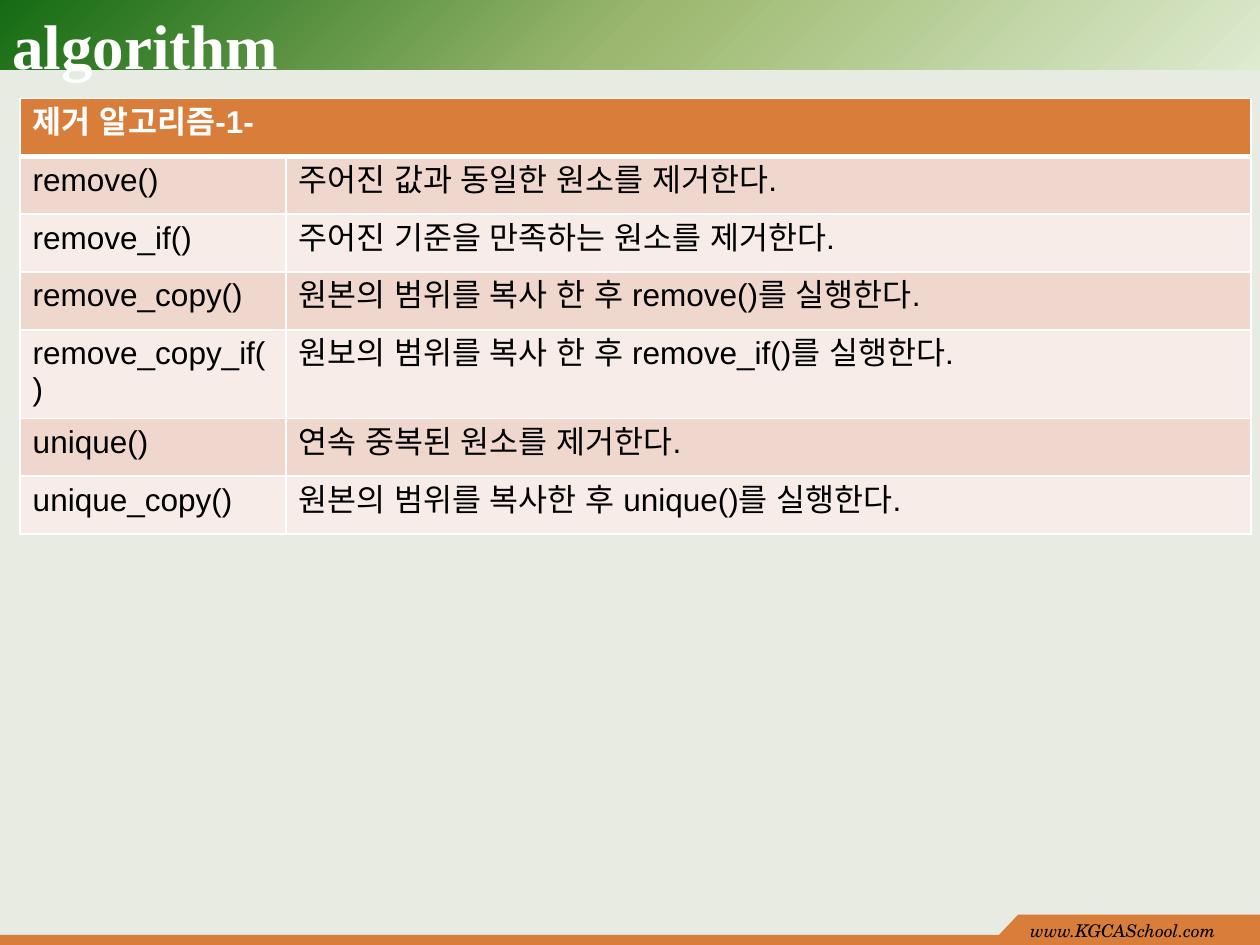
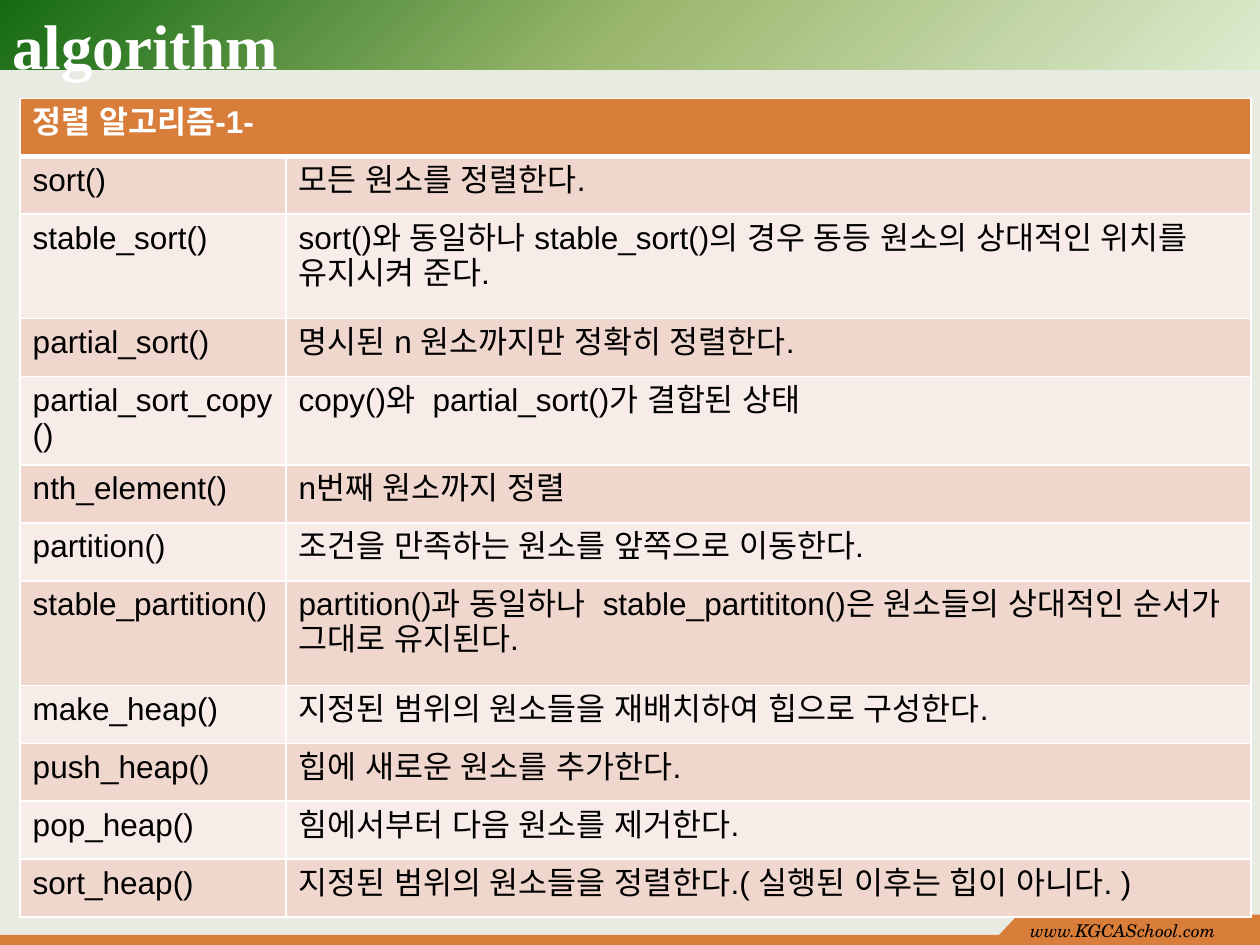
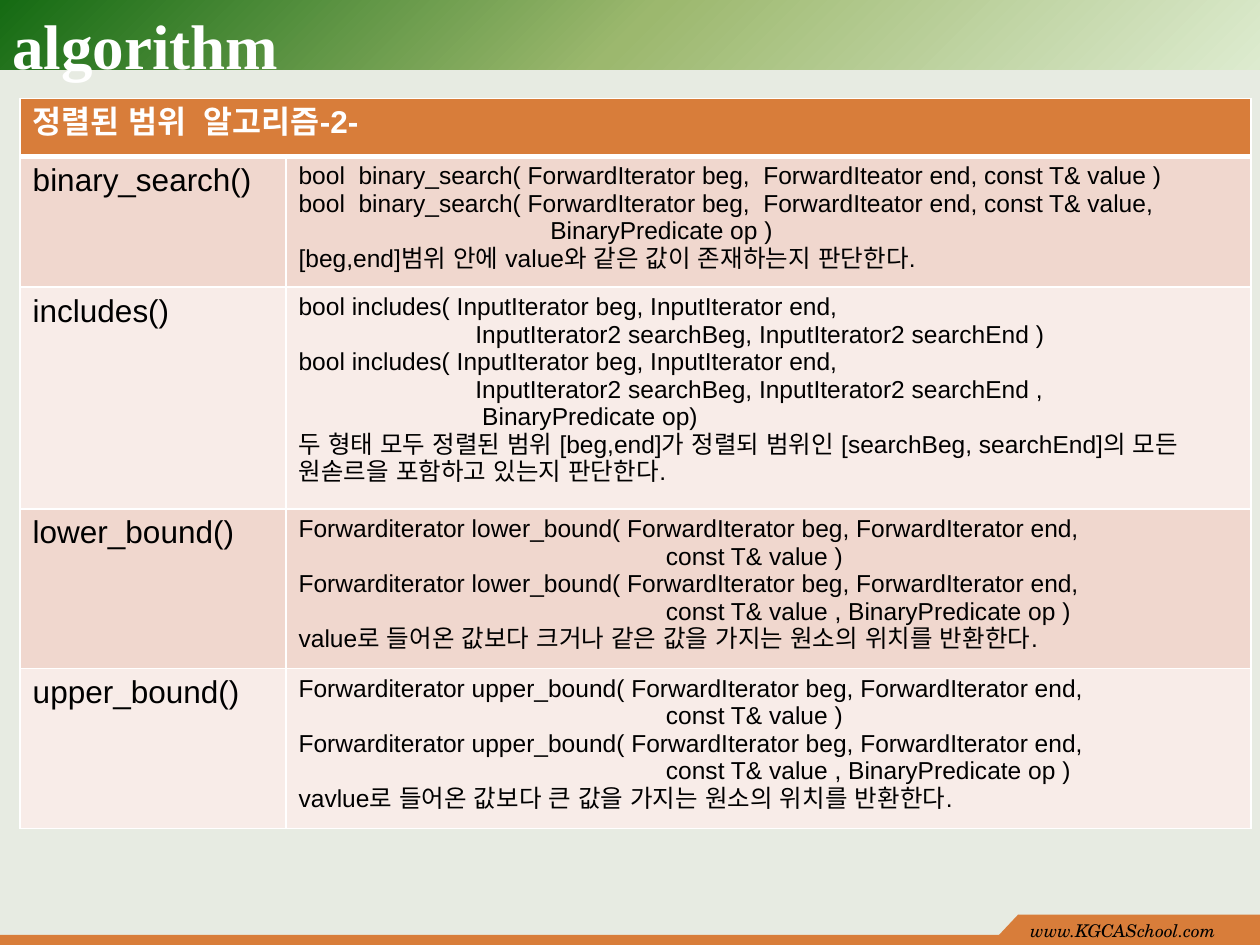
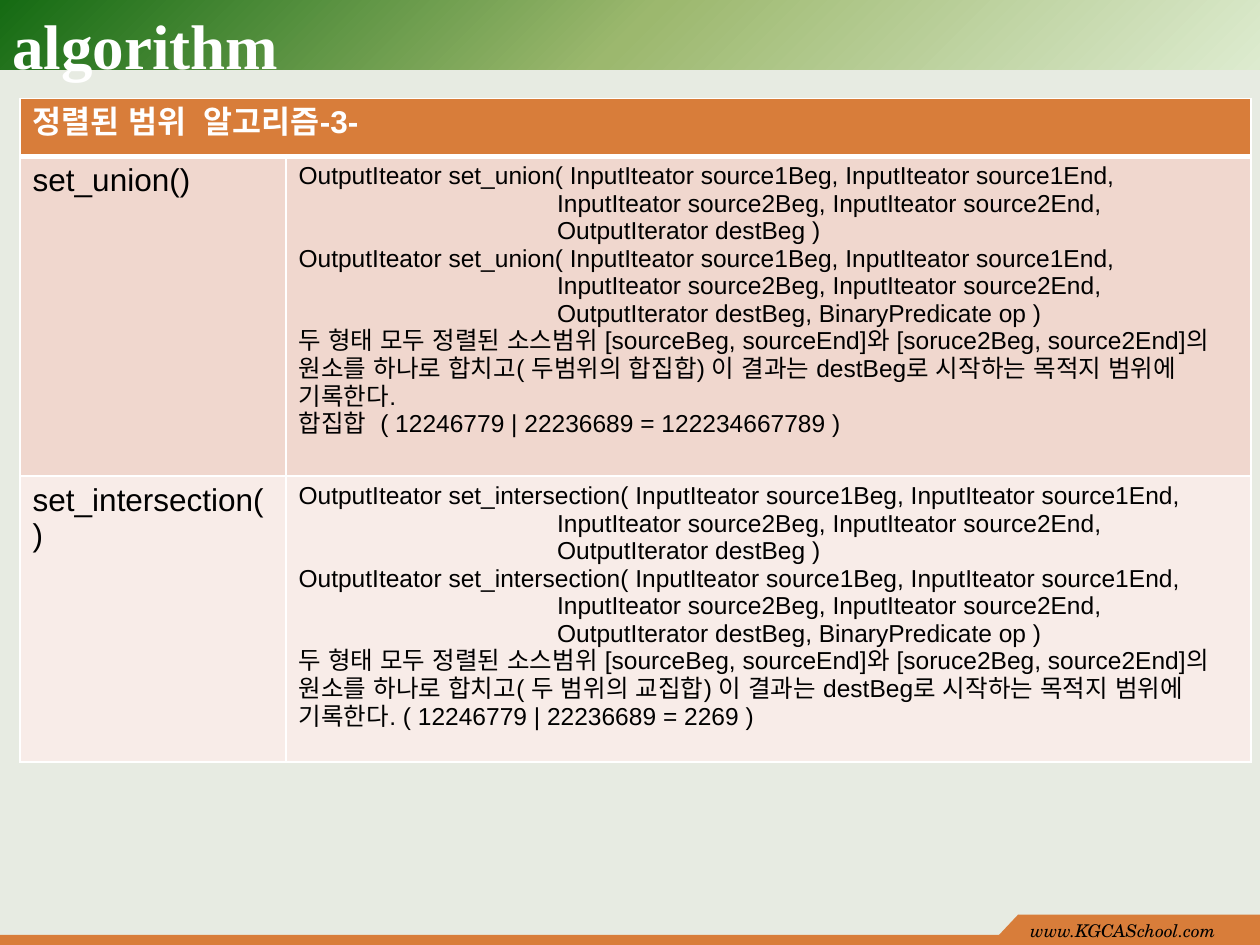
"""Build four slides that list the STL removing, sorting and sorted-range algorithms."""
from lxml.etree import SubElement
from pptx import Presentation
from pptx.dml.color import RGBColor
from pptx.enum.shapes import MSO_SHAPE as SHAPE
from pptx.enum.text import MSO_ANCHOR as ANCHOR
from pptx.oxml.ns import qn
from pptx.util import Inches, Pt

COLORS = {
    "page": "E7EBE2", "orange": "D87D3A", "white": "FFFFFF", "black": "000000",
    "odd_row": "F0D7CE", "even_row": "F8ECE8",
    "band_pale": "DDEBCF", "band_mid": "9CB86E", "band_deep": "156B13",
}
STYLES = {
    "title": {"size": Pt(36), "name": "Times New Roman", "bold": True, "color": "white"},
    "footer": {"size": Pt(10), "name": "TeX Gyre Schola", "italic": True, "color": "black"},
    "heading": {"size": Pt(18), "name": "Arial", "bold": True, "color": "white"},
    "body": {"size": Pt(18), "name": "Arial", "bold": False, "color": "black"},
    "detail": {"size": Pt(14), "name": "Arial", "bold": False, "color": "black"},
}
TITLE = "algorithm"
SITE = "www.KGCASchool.com"
BAND_STOPS = [(0, "band_pale"), (50, "band_mid"), (100, "band_deep")]
COLUMNS = (2.11, 7.66)
ONE_LINE, LONG_NAME, TWO_LINES = 0.46, 0.66, 0.83

SEARCH_CODE = [
    "bool  binary_search( ForwardIterator beg,  ForwardIteator end, const T& value )",
    "bool  binary_search( ForwardIterator beg,  ForwardIteator end, const T& value,",
    "                                     BinaryPredicate op )",
]
INCLUDES_CODE = [
    "bool includes( InputIterator beg, InputIterator end,",
    "                          InputIterator2 searchBeg, InputIterator2 searchEnd )",
    "bool includes( InputIterator beg, InputIterator end,",
    "                          InputIterator2 searchBeg, InputIterator2 searchEnd ,",
    "                           BinaryPredicate op)",
]
BOUND_CODE = [
    "Forwarditerator {0}( ForwardIterator beg, ForwardIterator end,",
    "                                                      const T& value )",
    "Forwarditerator {0}( ForwardIterator beg, ForwardIterator end,",
    "                                                      const T& value , BinaryPredicate op )",
]
SET_CODE = [
    "OutputIteator {0}( InputIteator source1Beg, InputIteator source1End,",
    "                                      InputIteator source2Beg, InputIteator source2End,",
    "                                      OutputIterator destBeg )",
    "OutputIteator {0}( InputIteator source1Beg, InputIteator source1End,",
    "                                      InputIteator source2Beg, InputIteator source2End,",
    "                                      OutputIterator destBeg, BinaryPredicate op )",
]
SET_NOTE = ("두 형태 모두 정렬된 소스범위 [sourceBeg, sourceEnd]와 [soruce2Beg, source2End]의 "
            "원소를 하나로 합치고( {0}) 이 결과는 destBeg로 시작하는 목적지 범위에 기록한다.")


def named(code, name):
    """Put a function name into a signature template."""
    return [line.format(name) for line in code]


TABLES = [
    {"heading": "제거 알고리즘-1-", "style": "body", "rows": [
        ("remove()", ONE_LINE, ["주어진 값과 동일한 원소를 제거한다."]),
        ("remove_if()", ONE_LINE, ["주어진 기준을 만족하는 원소를 제거한다."]),
        ("remove_copy()", ONE_LINE, ["원본의 범위를 복사 한 후 remove()를 실행한다."]),
        ("remove_copy_if()", LONG_NAME, ["원보의 범위를 복사 한 후 remove_if()를 실행한다."]),
        ("unique()", ONE_LINE, ["연속 중복된 원소를 제거한다."]),
        ("unique_copy()", ONE_LINE, ["원본의 범위를 복사한 후 unique()를 실행한다."]),
    ]},
    {"heading": "정렬 알고리즘-1-", "style": "body", "rows": [
        ("sort()", ONE_LINE, ["모든 원소를 정렬한다."]),
        ("stable_sort()", TWO_LINES, ["sort()와 동일하나 stable_sort()의 경우 동등 원소의 "
                                      "상대적인 위치를 유지시켜 준다."]),
        ("partial_sort()", ONE_LINE, ["명시된 n 원소까지만 정확히 정렬한다."]),
        ("partial_sort_copy()", LONG_NAME, ["copy()와  partial_sort()가 결합된 상태"]),
        ("nth_element()", ONE_LINE, ["n번째 원소까지 정렬"]),
        ("partition()", ONE_LINE, ["조건을 만족하는 원소를 앞쪽으로 이동한다."]),
        ("stable_partition()", TWO_LINES, ["partition()과 동일하나  stable_partititon()은 "
                                           "원소들의 상대적인 순서가 그대로 유지된다."]),
        ("make_heap()", ONE_LINE, ["지정된 범위의 원소들을 재배치하여 힙으로 구성한다."]),
        ("push_heap()", ONE_LINE, ["힙에 새로운 원소를 추가한다."]),
        ("pop_heap()", ONE_LINE, ["힘에서부터 다음 원소를 제거한다."]),
        ("sort_heap()", ONE_LINE, ["지정된 범위의 원소들을 정렬한다.( 실행된 이후는 힙이 아니다. )"]),
    ]},
    {"heading": "정렬된 범위  알고리즘-2-", "style": "detail", "rows": [
        ("binary_search()", 1.04, SEARCH_CODE + [
            "[beg,end]범위 안에 value와 같은 값이 존재하는지 판단한다."]),
        ("includes()", 1.76, INCLUDES_CODE + [
            "두 형태 모두 정렬된 범위 [beg,end]가 정렬되 범위인 [searchBeg, searchEnd]의 "
            "모든 원솓르을 포함하고 있는지 판단한다."]),
        ("lower_bound()", 1.26, named(BOUND_CODE, "lower_bound") + [
            "value로 들어온 값보다 크거나 같은 값을 가지는 원소의 위치를 반환한다."]),
        ("upper_bound()", 1.26, named(BOUND_CODE, "upper_bound") + [
            "vavlue로 들어온 값보다 큰 값을 가지는 원소의 위치를 반환한다."]),
    ]},
    {"heading": "정렬된 범위  알고리즘-3-", "style": "detail", "rows": [
        ("set_union()", 2.54, named(SET_CODE, "set_union") + [
            SET_NOTE.format("두범위의 합집합"),
            "합집합  ( 12246779 | 22236689 = 122234667789 )"]),
        ("set_intersection()", 2.27, named(SET_CODE, "set_intersection") + [
            SET_NOTE.format("두 범위의 교집합") + " ( 12246779 | 22236689 = 2269 )"]),
    ]},
]


def rgb(color):
    return RGBColor.from_string(COLORS[color])


def paint(shape, color):
    shape.shadow.inherit = False
    shape.fill.solid()
    shape.fill.fore_color.rgb = rgb(color)
    shape.line.fill.background()


def write(frame, lines, style):
    for index, line in enumerate(lines):
        paragraph = frame.add_paragraph() if index else frame.paragraphs[0]
        run = paragraph.add_run()
        run.text = line
        for key, value in STYLES[style].items():
            if key == "color":
                run.font.color.rgb = rgb(value)
            else:
                setattr(run.font, key, value)
        SubElement(run._r.get_or_add_rPr(), qn("a:ea"), typeface=STYLES[style]["name"])


def add_label(slide, box, text, style, anchor):
    frame = slide.shapes.add_textbox(*map(Inches, box)).text_frame
    frame.word_wrap = True
    frame.vertical_anchor = anchor
    write(frame, [text], style)


def add_band(slide):
    band = slide.shapes.add_shape(SHAPE.RECTANGLE, 0, 0, Inches(10), Inches(0.55))
    paint(band, "band_mid")
    band.fill.gradient()
    gradient = band.fill._xPr.find(qn("a:gradFill"))
    for child in list(gradient):
        gradient.remove(child)
    stops = SubElement(gradient, qn("a:gsLst"))
    for percent, color in BAND_STOPS:
        stop = SubElement(stops, qn("a:gs"), pos=str(percent * 1000))
        SubElement(stop, qn("a:srgbClr"), val=COLORS[color])
    circle = SubElement(gradient, qn("a:path"), path="circle")
    SubElement(circle, qn("a:fillToRect"), l="100000", t="100000")


def add_footer(slide):
    footer = slide.shapes.add_group_shape().shapes
    for box in [(0, 7.42, 10, 0.08), (8.08, 7.26, 1.92, 0.17)]:
        paint(footer.add_shape(SHAPE.RECTANGLE, *map(Inches, box)), "orange")
    left, right, top, bottom = map(Inches, (7.92, 8.08, 7.26, 7.43))
    slope = footer.build_freeform(left, bottom)
    slope.add_line_segments([(right, bottom), (right, top)], close=True)
    paint(slope.convert_to_shape(), "orange")
    add_label(slide, (8.08, 7.25, 1.92, 0.25), SITE, "footer", ANCHOR.TOP)


def finish_cell(cell, fill, top=1, bottom=1):
    properties = cell._tc.get_or_add_tcPr()
    for side, width in {"L": 1, "R": 1, "T": top, "B": bottom}.items():
        border = SubElement(properties, qn(f"a:ln{side}"), w=str(Pt(width)))
        solid = SubElement(border, qn("a:solidFill"))
        SubElement(solid, qn("a:srgbClr"), val=COLORS["white"])
    cell.fill.solid()
    cell.fill.fore_color.rgb = rgb(fill)


def add_algorithms(slide, content):
    rows = content["rows"]
    heights = [ONE_LINE] + [height for _, height, _ in rows]
    table = slide.shapes.add_table(
        len(heights), len(COLUMNS), Inches(0.16), Inches(0.78),
        Inches(sum(COLUMNS)), Inches(sum(heights))).table
    for column, width in zip(table.columns, COLUMNS):
        column.width = Inches(width)
    for row, height in zip(table.rows, heights):
        row.height = Inches(height)

    heading = table.cell(0, 0)
    heading.merge(table.cell(0, 1))
    write(heading.text_frame, [content["heading"]], "heading")
    for cell in table.rows[0].cells:
        finish_cell(cell, "orange", bottom=3)
    for index, (name, _, description) in enumerate(rows, 1):
        name_cell, description_cell = table.rows[index].cells
        write(name_cell.text_frame, [name], "body")
        write(description_cell.text_frame, description, content["style"])
        for cell in (name_cell, description_cell):
            finish_cell(cell, "odd_row" if index % 2 else "even_row",
                        top=3 if index == 1 else 1)


def main():
    deck = Presentation()
    deck.slide_width, deck.slide_height = Inches(10), Inches(7.5)
    page = deck.slide_master.background.fill
    page.solid()
    page.fore_color.rgb = rgb("page")
    for content in TABLES:
        slide = deck.slides.add_slide(deck.slide_layouts[6])
        add_band(slide)
        add_footer(slide)
        add_label(slide, (0, 0, 9, 0.7), TITLE, "title", ANCHOR.MIDDLE)
        add_algorithms(slide, content)
    deck.save("out.pptx")


if __name__ == "__main__":
    main()
